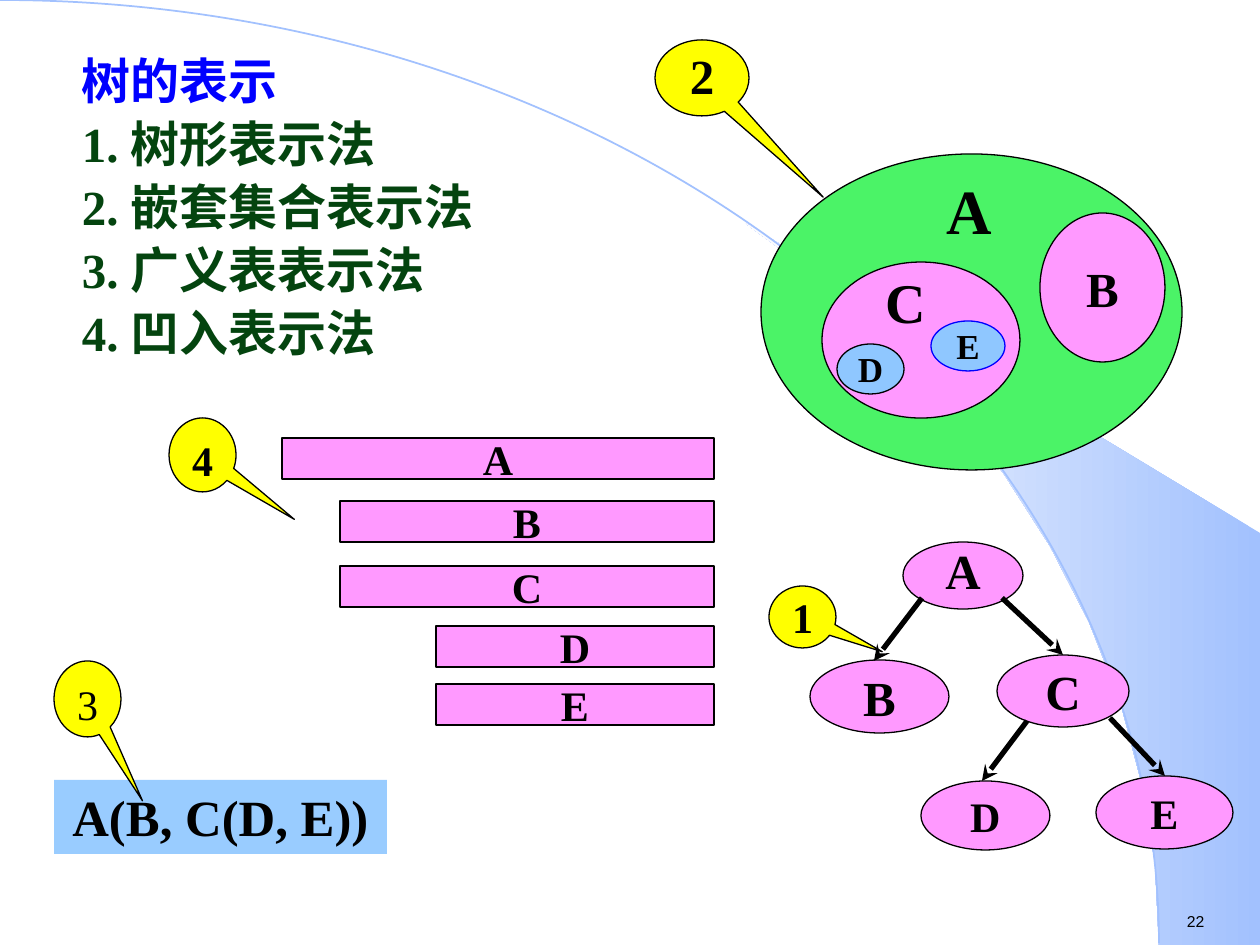
import math

from lxml import etree
from pptx import Presentation
from pptx import util as u
from pptx.dml import color as dml
from pptx.enum import shapes, text
from pptx.oxml import ns

SCALE = 914400 / 126
BLACK, BLUE, GREEN = "000000", "0000FF", "04440F"
PINK, YELLOW, LIME, SKY, PALE = "FF99FF", "FFFF00", "4BF367", "8FC7FF", "99CCFF"
ARC_BLUE, OFF_WHITE = "A2C1FE", "FEFEFE"
OVAL = shapes.MSO_SHAPE.OVAL
RECTANGLE = shapes.MSO_SHAPE.RECTANGLE
TOP, MIDDLE = text.MSO_ANCHOR.TOP, text.MSO_ANCHOR.MIDDLE
CENTER, LEFT = text.PP_ALIGN.CENTER, text.PP_ALIGN.LEFT


def px(value):
    return u.Emu(round(value * SCALE))


def rgb(value):
    return dml.RGBColor.from_string(value)


def placed(box, part):
    left, top, width, height = part
    return [px(n) for n in (box[0] + left, box[1] + top, width, height)]


def add_span(para, words, size, color=BLACK, bold=True, font="Times New Roman"):
    span = para.add_run()
    span.text = words
    span.font.name = font
    span.font.size = u.Pt(size)
    span.font.bold = bold
    span.font.color.rgb = rgb(color)


def set_frame(frame, anchor=TOP, wrap=True, insets=(13, 6, 13, 6)):
    frame.word_wrap = wrap
    frame.vertical_anchor = anchor
    frame.margin_left, frame.margin_top, frame.margin_right, frame.margin_bottom = map(px, insets)


def write(shape, words, size, spacing=1.0, bold=True, **frame_options):
    set_frame(shape.text_frame, **frame_options)
    para = shape.text_frame.paragraphs[0]
    para.alignment = CENTER
    para.line_spacing = spacing
    add_span(para, words, size, bold=bold)


def add_shape(page, kind, box, part, fill, line=BLACK):
    shape = page.shapes.add_shape(kind, *placed(box, part))
    shape.shadow.inherit = False
    shape.fill.solid()
    shape.fill.fore_color.rgb = rgb(fill)
    if line:
        shape.line.color.rgb = rgb(line)
        shape.line.width = u.Pt(0.75)
    else:
        shape.line.fill.background()
    return shape


def add_node(page, kind, box, part, fill, words, size, line=BLACK, spacing=1.0):
    node = add_shape(page, kind, box, part, fill, line)
    write(node, words, size, spacing, anchor=MIDDLE, wrap=False)


def add_callout(page, box, part, tip, words, size=24, **options):
    callout = add_shape(page, shapes.MSO_SHAPE.OVAL_CALLOUT, box, part, YELLOW)
    callout.adjustments[0], callout.adjustments[1] = tip
    write(callout, words, size, **options)


def add_letter(page, box, part, words, size, spacing, top_inset):
    letter = page.shapes.add_textbox(*placed(box, part))
    write(letter, words, size, spacing, insets=(0, top_inset, 0, 0))


def add_arrow(page, box, start, end):
    points = [px(origin + n) for point in (start, end) for origin, n in zip(box, point)]
    arrow = page.shapes.add_connector(shapes.MSO_CONNECTOR.STRAIGHT, *points)
    arrow.line.color.rgb = rgb(BLACK)
    arrow.line.width = u.Pt(3)
    etree.SubElement(arrow.line._get_or_add_ln(), ns.qn("a:tailEnd"), type="stealth")
    etree.SubElement(arrow._element.spPr, ns.qn("a:effectLst"))


def draw_backdrop(page, box):
    width, height = box[2:]
    radius_x, radius_y = 1159, 943
    curve = [
        (radius_x * math.cos(math.radians(a)), height - radius_y * math.sin(math.radians(a)))
        for a in range(50, -1, -5)
    ]
    builder = page.shapes.build_freeform(width, height, scale=SCALE)
    builder.add_line_segments([(width, 533), *curve, (width, height)], close=True)
    band = builder.convert_to_shape()
    band.shadow.inherit = False
    band.line.fill.background()
    band.fill.gradient()
    band.fill.gradient_angle = 180
    for stop, color in zip(band.fill.gradient_stops, (ARC_BLUE, OFF_WHITE)):
        stop.color.rgb = rgb(color)

    arc_box = (-radius_x, 0, 2 * radius_x, 2 * radius_y)
    arc = page.shapes.add_shape(shapes.MSO_SHAPE.ARC, *placed(box, arc_box))
    arc.shadow.inherit = False
    arc.fill.background()
    arc.line.color.rgb = rgb(ARC_BLUE)
    arc.line.width = u.Pt(1)


def draw_page_number(page, box):
    number = page.shapes.add_textbox(*[px(n) for n in box])
    set_frame(number.text_frame, wrap=False)
    para = number.text_frame.paragraphs[0]
    para.alignment = LEFT
    add_span(para, "22", 9, bold=False, font="Arial")


def draw_methods(page, box):
    methods = page.shapes.add_textbox(*[px(n) for n in box])
    frame = methods.text_frame
    set_frame(frame)
    lines = ["树的表示", "1. 树形表示法", "2. 嵌套集合表示法", "3. 广义表表示法", "4. 凹入表示法"]
    for index, words in enumerate(lines):
        para = frame.add_paragraph() if index else frame.paragraphs[0]
        properties = para._p.get_or_add_pPr()
        properties.set("marL", str(px(48)))
        properties.set("indent", str(px(-48)))
        para.line_spacing = u.Pt(36)
        add_span(para, words, 28, GREEN if index else BLUE)


def draw_formula(page, box):
    formula = add_shape(page, RECTANGLE, box, (0, 119, 333, 74), PALE, line=None)
    write(formula, "A(B, C(D, E))", 29)
    add_callout(page, box, (0, 0, 67, 76), (0.82, 1.34), "3", bold=False)


def draw_nested_sets(page, box):
    add_shape(page, OVAL, box, (106, 114, 421, 316), LIME)
    add_shape(page, OVAL, box, (167, 222, 198, 156), PINK)
    add_node(page, OVAL, box, (385, 173, 125, 149), PINK, "B", 28)
    add_node(page, OVAL, box, (182, 304, 67, 50), SKY, "D", 20)
    add_node(page, OVAL, box, (276, 281, 74, 50), SKY, "E", 20, line=BLUE)
    add_callout(page, box, (0, 0, 94, 76), (1.29, 1.57), "2", 28, spacing=0.8)
    add_letter(page, box, (285, 143, 59, 64), "A", 36, 0.85, 0)
    add_letter(page, box, (221, 241, 59, 52), "C", 32, 0.7, 5)


def draw_indented_bars(page, box):
    right = box[2]
    bars = [("A", 113, 20), ("B", 171, 83), ("C", 171, 148), ("D", 267, 208), ("E", 267, 266)]
    for words, left, top in bars:
        add_node(page, RECTANGLE, box, (left, top, right - left, 41), PINK, words, 24)
    add_callout(page, box, (0, 0, 67, 74), (1.37, 0.87), "4")


def draw_tree(page, box):
    add_node(page, OVAL, box, (134, 0, 120, 67), PINK, "A", 28, spacing=0.8)
    nodes = [
        ("B", 28, (41, 118, 139, 73)),
        ("C", 28, (228, 113, 132, 72)),
        ("D", 24, (152, 239, 129, 69)),
        ("E", 24, (327, 234, 137, 73)),
    ]
    for words, size, part in nodes:
        add_node(page, OVAL, box, part, PINK, words, size)
    branches = [
        ((153, 56), (105, 119)),
        ((233, 56), (294, 113)),
        ((258, 179), (213, 239)),
        ((341, 176), (396, 234)),
    ]
    for start, end in branches:
        add_arrow(page, box, start, end)
    add_callout(page, box, (0, 44, 67, 62), (1.19, 0.56), "1", anchor=MIDDLE, insets=(0, 0, 0, 0))


def main():
    deck = Presentation()
    deck.slide_width, deck.slide_height = px(1260), px(945)
    page = deck.slides.add_slide(deck.slide_layouts[6])
    draw_backdrop(page, (0, 0, 1260, 945))
    draw_page_number(page, (1174, 906, 97, 32))
    draw_formula(page, (54, 661, 333, 193))
    draw_methods(page, (69, 40, 427, 391))
    draw_nested_sets(page, (655, 40, 527, 430))
    draw_indented_bars(page, (169, 418, 545, 307))
    draw_tree(page, (769, 542, 464, 308))
    deck.save("out.pptx")


if __name__ == "__main__":
    main()
